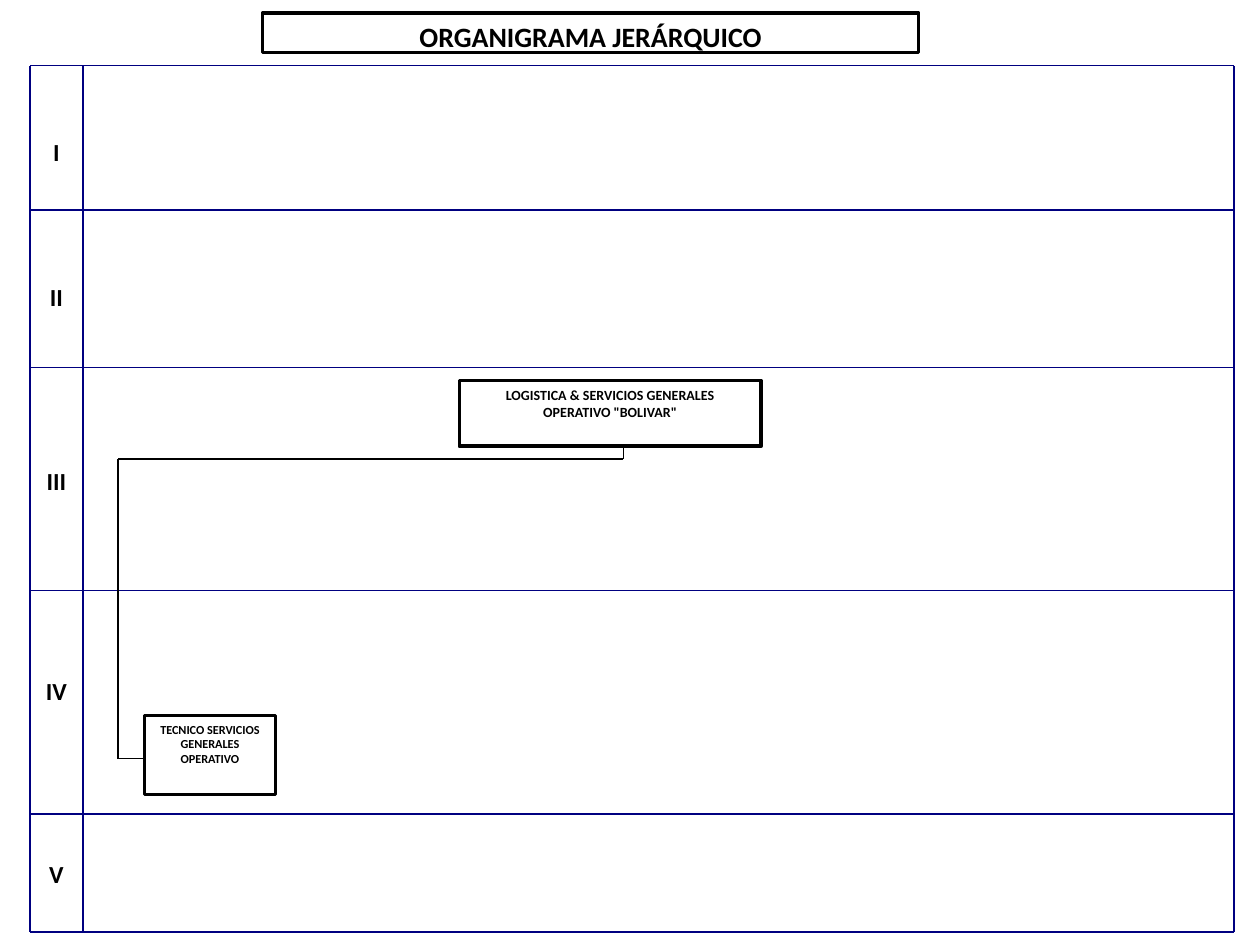
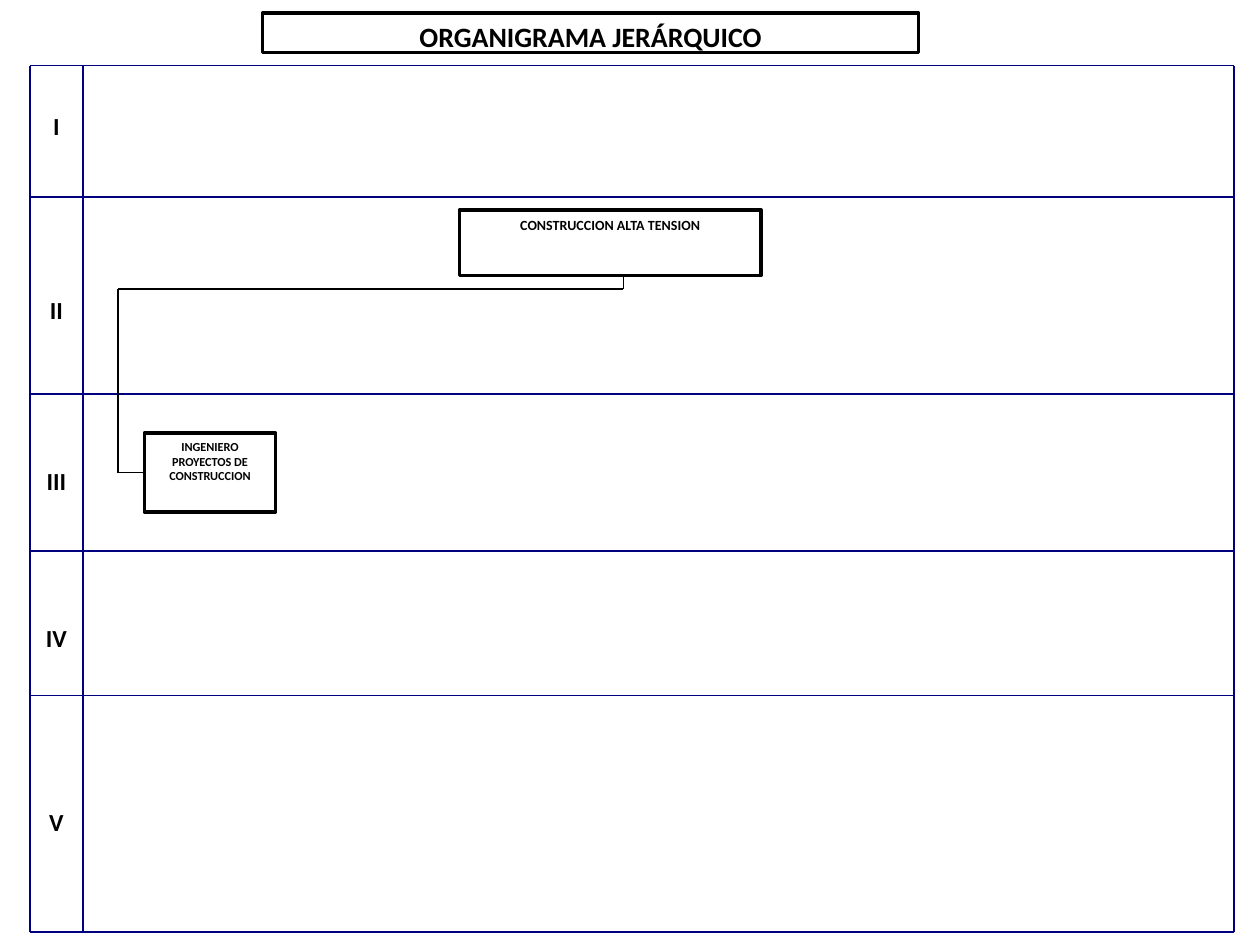
from pptx import Presentation
from pptx.dml.color import RGBColor
from pptx.enum.shapes import MSO_CONNECTOR, MSO_SHAPE
from pptx.enum.text import MSO_ANCHOR, MSO_AUTO_SIZE, PP_ALIGN
from pptx.oxml.ns import qn
from pptx.util import Pt
from lxml import etree

BLACK = RGBColor(0x00, 0x00, 0x00)
NAVY = RGBColor(0x00, 0x00, 0x80)
FONT = "Calibri"
RECTANGLE = MSO_SHAPE.RECTANGLE
STRAIGHT = MSO_CONNECTOR.STRAIGHT
CENTER = PP_ALIGN.CENTER
TOP = MSO_ANCHOR.TOP
NO_AUTOFIT = MSO_AUTO_SIZE.NONE
LEFT_SIDE = 1
TITLE_ONLY = 5

FRAME_LEFT, FRAME_RIGHT = 17.25, 705
FRAME_TOP, FRAME_BOTTOM = 37.5, 532.5
LABEL_WIDTH, LABEL_HEIGHT = 30, 22.5
LEVELS = ("I", "II", "III", "IV", "V")

UNIT_LEFT, UNIT_WIDTH, UNIT_HEIGHT = 262.5, 172.5, 37.5
POST_LEFT, POST_WIDTH, POST_HEIGHT = 82.5, 75, 45
TRUNK_X, STEM_X, STEM_HEIGHT = 67.5, 356.25, 7.5

CHARTS = (
    {
        "dividers": (120, 210, 337.5, 465),
        "label_tops": (75, 157.5, 262.5, 382.5, 487.5),
        "unit": 'LOGISTICA & SERVICIOS GENERALES OPERATIVO "BOLIVAR"',
        "unit_top": 217.5,
        "post": "TECNICO SERVICIOS GENERALES OPERATIVO",
        "post_top": 409,
        "branch_y": 433.5,
    },
    {
        "dividers": (112.5, 225, 315, 397.5),
        "label_tops": (60, 165, 262.5, 352.5, 457.5),
        "unit": "CONSTRUCCION ALTA TENSION",
        "unit_top": 120,
        "post": "INGENIERO PROYECTOS DE CONSTRUCCION",
        "post_top": 247.5,
        "branch_y": 270,
    },
)


def write_text(shape, text, size, bold=True, color=BLACK, alignment=CENTER, anchor=TOP):
    frame = shape.text_frame
    frame.word_wrap = True
    frame.auto_size = NO_AUTOFIT
    frame.vertical_anchor = anchor
    paragraph = frame.paragraphs[0]
    paragraph.alignment = alignment
    run = paragraph.add_run()
    run.text = text
    run.font.name = FONT
    run.font.size = Pt(size)
    run.font.bold = bold
    run.font.color.rgb = color


class OrganizationChart:
    def __init__(self, presentation):
        self.presentation = presentation
        self.slide = None

    def new_slide(self):
        layout = self.presentation.slide_layouts[TITLE_ONLY]
        self.slide = self.presentation.slides.add_slide(layout)

    def outline(self, shape):
        shape.fill.background()
        shape.line.color.rgb = BLACK
        shape.line.width = Pt(2)

    def title(self, text):
        title = self.slide.shapes.title
        title.left, title.top = Pt(150), Pt(7.5)
        title.width, title.height = Pt(375), Pt(22.5)
        self.outline(title)
        write_text(title, text, size=16)

    def box(self, text, left, top, width, height, size):
        box = self.slide.shapes.add_shape(RECTANGLE, Pt(left), Pt(top), Pt(width), Pt(height))
        box.shadow.inherit = False
        self.outline(box)
        write_text(box, text, size=size)
        return box

    def label(self, text, top):
        label = self.slide.shapes.add_textbox(
            Pt(FRAME_LEFT), Pt(top), Pt(LABEL_WIDTH), Pt(LABEL_HEIGHT))
        write_text(label, text, size=14)

    def line(self, x1, y1, x2, y2, color=BLACK):
        line = self.slide.shapes.add_connector(STRAIGHT, Pt(x1), Pt(y1), Pt(x2), Pt(y2))
        line.line.color.rgb = color
        line.line.width = Pt(1)
        etree.SubElement(line._element.spPr, qn("a:effectLst"))
        return line

    def level_frame(self, dividers, label_tops):
        for y in (FRAME_TOP, *dividers, FRAME_BOTTOM):
            self.line(FRAME_LEFT, y, FRAME_RIGHT, y, NAVY)
        for x in (FRAME_LEFT, FRAME_LEFT + LABEL_WIDTH, FRAME_RIGHT):
            self.line(x, FRAME_TOP, x, FRAME_BOTTOM, NAVY)
        for level, top in zip(LEVELS, label_tops):
            self.label(level, top)

    def hierarchy(self, unit, unit_top, post, post_top, branch_y):
        self.box(unit, UNIT_LEFT, unit_top, UNIT_WIDTH, UNIT_HEIGHT, size=8)
        post_box = self.box(post, POST_LEFT, post_top, POST_WIDTH, POST_HEIGHT, size=7)
        unit_bottom = unit_top + UNIT_HEIGHT
        trunk_top = unit_bottom + STEM_HEIGHT
        self.line(STEM_X, unit_bottom, STEM_X, trunk_top)
        self.line(TRUNK_X, trunk_top, STEM_X, trunk_top)
        self.line(TRUNK_X, trunk_top, TRUNK_X, branch_y)
        branch = self.line(TRUNK_X, branch_y, POST_LEFT, branch_y)
        if branch_y == post_top + POST_HEIGHT / 2:
            branch.end_connect(post_box, LEFT_SIDE)


def main():
    presentation = Presentation()
    presentation.slide_width, presentation.slide_height = Pt(720), Pt(540)
    chart = OrganizationChart(presentation)
    for content in CHARTS:
        chart.new_slide()
        chart.title("ORGANIGRAMA JERÁRQUICO")
        chart.level_frame(content["dividers"], content["label_tops"])
        chart.hierarchy(content["unit"], content["unit_top"], content["post"],
                        content["post_top"], content["branch_y"])
    presentation.save("out.pptx")


if __name__ == "__main__":
    main()
